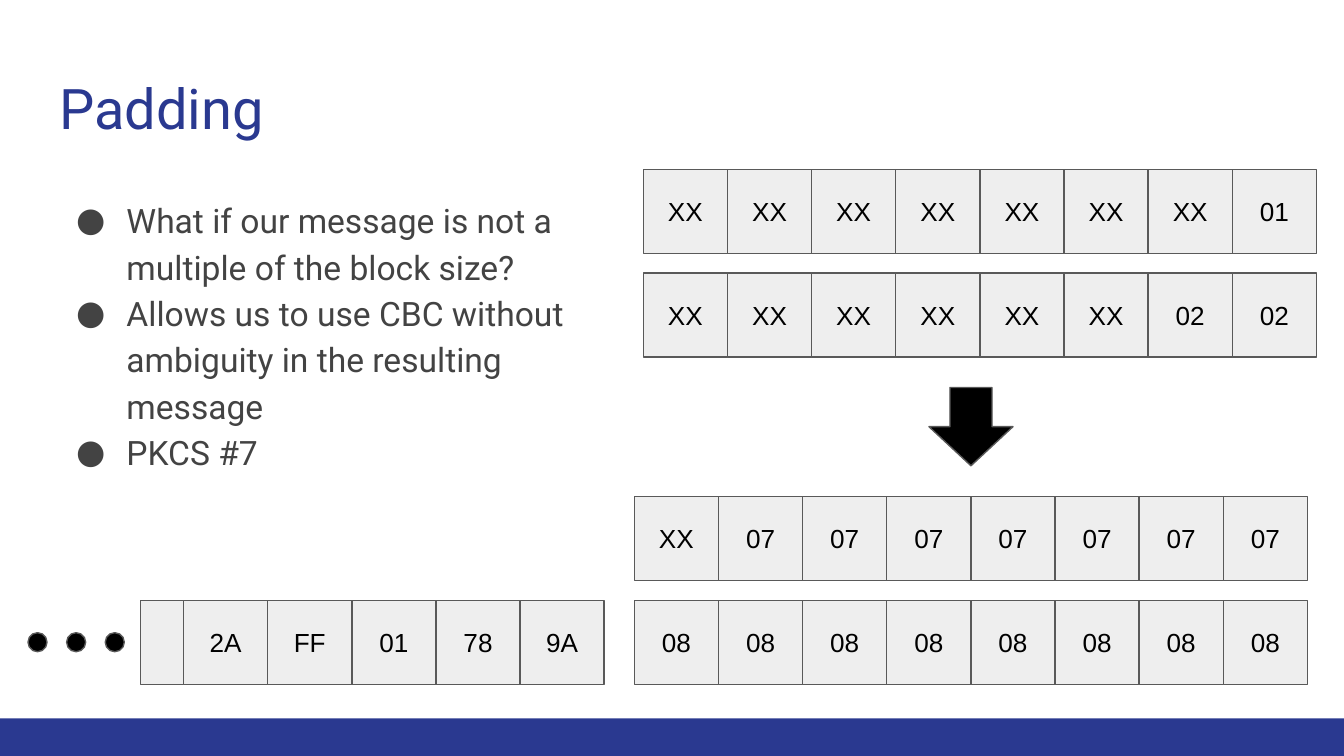
from lxml import etree
from pptx import Presentation
from pptx import util as u
from pptx.dml.color import RGBColor
from pptx.enum import shapes, text
from pptx.oxml import ns

NAVY = RGBColor(0x2A, 0x39, 0x90)
BODY_GRAY = RGBColor(0x43, 0x43, 0x43)
CELL_GRAY = RGBColor(0xEE, 0xEE, 0xEE)
LINE_GRAY = RGBColor(0x59, 0x59, 0x59)
BLACK = RGBColor(0, 0, 0)
CELL = 1.59
INSET = u.Cm(0.25)


def add_run(paragraph, words, font_name, size, color):
    run = paragraph.add_run()
    run.text = words
    run.font.name = font_name
    run.font.size = u.Pt(size)
    run.font.color.rgb = color


def add_block(parent, kind, left, top, width, height, fill):
    shape = parent.add_shape(kind, u.Cm(left), u.Cm(top), u.Cm(width), u.Cm(height))
    shape.shadow.inherit = False
    shape.fill.solid()
    shape.fill.fore_color.rgb = fill
    shape.line.color.rgb = LINE_GRAY
    shape.line.width = u.Pt(0.75)
    return shape


presentation = Presentation()
presentation.slide_width = u.Cm(25.4)
presentation.slide_height = u.Cm(14.29)
slide = presentation.slides.add_slide(presentation.slide_layouts[1])

footer_bar = add_block(slide.shapes, shapes.MSO_SHAPE.RECTANGLE, 0, 13.58, 25.4, 0.71, NAVY)
footer_bar.line.fill.background()

title = slide.shapes.title
body = slide.placeholders[1]
for placeholder, left, top, width, height in (
    (title, 0.87, 1.14, 23.67, 1.68),
    (body, 0.87, 3.42, 10.8, 9.27),
):
    placeholder.left, placeholder.top = u.Cm(left), u.Cm(top)
    placeholder.width, placeholder.height = u.Cm(width), u.Cm(height)
    frame = placeholder.text_frame
    frame.word_wrap = True
    frame.auto_size = text.MSO_AUTO_SIZE.NONE
    frame.vertical_anchor = text.MSO_ANCHOR.TOP
    frame.margin_left = frame.margin_right = INSET
    frame.margin_top = frame.margin_bottom = INSET

title_paragraph = title.text_frame.paragraphs[0]
title_paragraph.alignment = text.PP_ALIGN.LEFT
add_run(title_paragraph, "Padding", "Roboto", 30, NAVY)

points = (
    "What if our message is not a multiple of the block size?",
    "Allows us to use CBC without ambiguity in the resulting message",
    "PKCS #7",
)
for index, point in enumerate(points):
    frame = body.text_frame
    paragraph = frame.add_paragraph() if index else frame.paragraphs[0]
    paragraph.line_spacing = 1.15
    paragraph.space_before = u.Pt(0)
    properties = paragraph._p.get_or_add_pPr()
    properties.set("marL", str(u.Cm(1.27)))
    properties.set("indent", str(u.Cm(-0.95)))
    bullet_color = etree.SubElement(properties, ns.qn("a:buClr"))
    etree.SubElement(bullet_color, ns.qn("a:srgbClr"), val=str(BODY_GRAY))
    etree.SubElement(properties, ns.qn("a:buFont"), typeface="Roboto")
    etree.SubElement(properties, ns.qn("a:buChar"), char="●")
    add_run(paragraph, point, "Roboto", 18, BODY_GRAY)

byte_rows = (
    (12.16, 3.2, ["XX"] * 7 + ["01"]),
    (12.16, 5.16, ["XX"] * 6 + ["02"] * 2),
    (11.99, 9.38, ["XX"] + ["07"] * 7),
    (11.99, 11.35, ["08"] * 8),
    (3.47, 11.35, ["2A", "FF", "01", "78", "9A"]),
)
for left, top, values in byte_rows:
    row = slide.shapes.add_group_shape()
    for column, value in enumerate(values):
        cell = add_block(row.shapes, shapes.MSO_SHAPE.RECTANGLE,
                         left + column * CELL, top, CELL, CELL, CELL_GRAY)
        frame = cell.text_frame
        frame.vertical_anchor = text.MSO_ANCHOR.MIDDLE
        frame.margin_left = frame.margin_right = INSET
        frame.margin_top = frame.margin_bottom = INSET
        paragraph = frame.paragraphs[0]
        paragraph.alignment = text.PP_ALIGN.CENTER
        add_run(paragraph, value, "Arial", 14, BLACK)

add_block(row.shapes, shapes.MSO_SHAPE.RECTANGLE, 2.66, 11.35, 0.81, CELL, CELL_GRAY)

ellipsis = slide.shapes.add_group_shape()
for dot in range(3):
    add_block(ellipsis.shapes, shapes.MSO_SHAPE.OVAL, 0.53 + dot * 0.73, 11.96, 0.36, 0.36, BLACK)

arrow = add_block(slide.shapes, shapes.MSO_SHAPE.RIGHT_ARROW, 17.61, 7.27, 1.48, CELL, BLACK)
arrow.rotation = 90

presentation.save("out.pptx")
